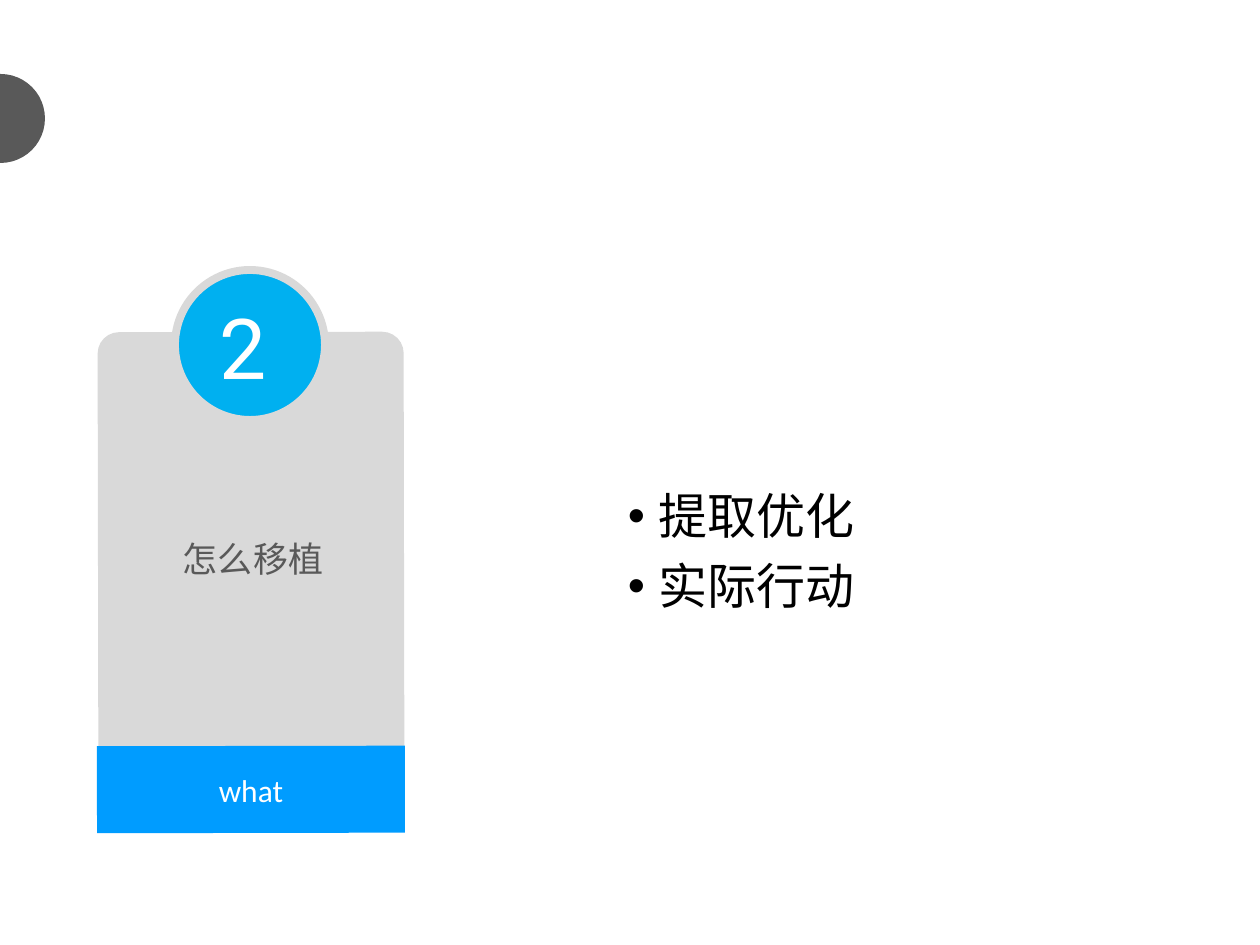
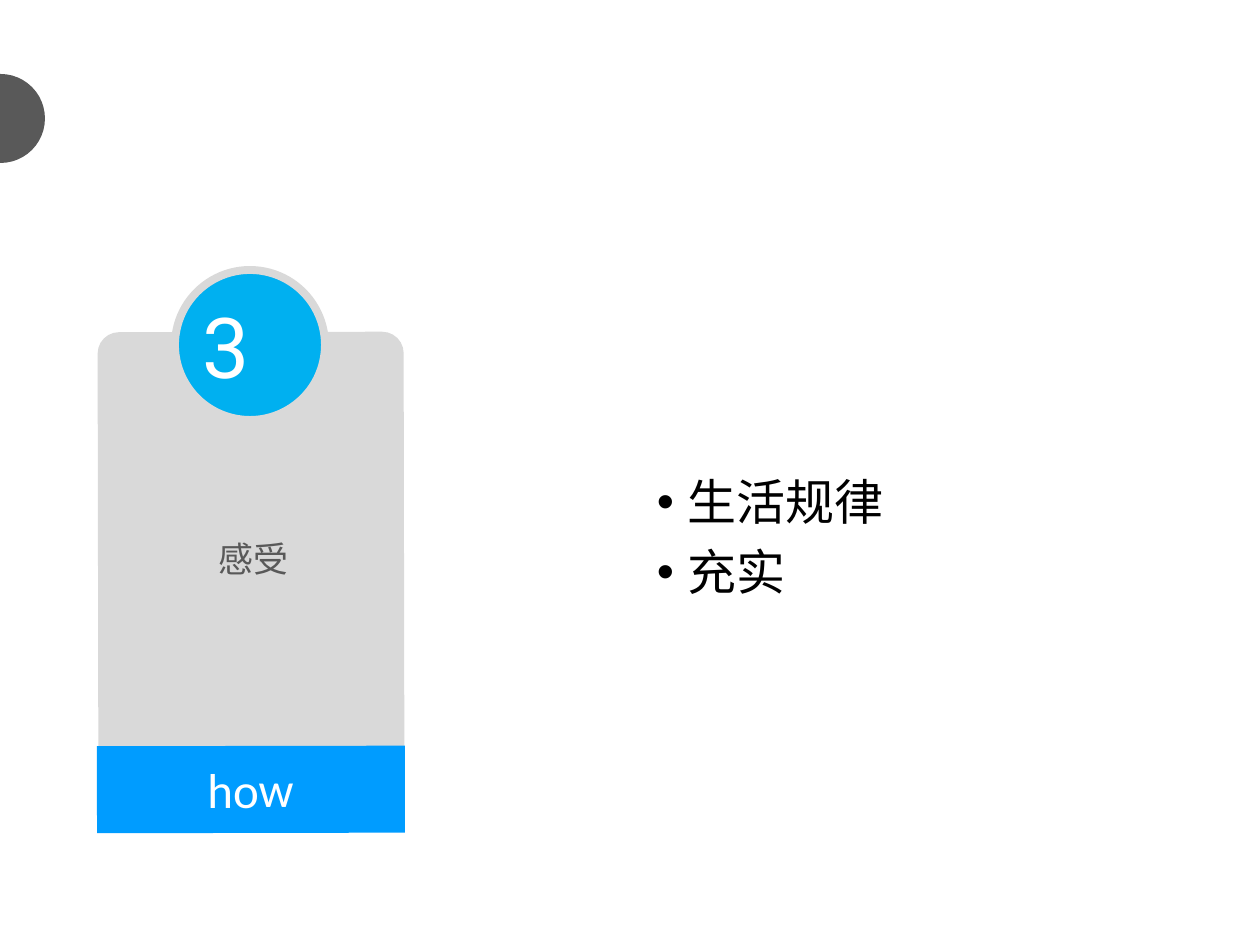
from pptx import Presentation
from pptx import util as u
from pptx.dml.color import RGBColor
from pptx.enum import shapes, text
from pptx.oxml.ns import qn
from lxml import etree

PX = 914400 / 126
COLORS = {
    "dark": "595959",
    "card": "D9D9D9",
    "band": "009CFF",
    "disc": "00B0F0",
    "white": "FFFFFF",
    "black": "000000",
}
TILT = 359.9
INSET = 6
INDENT = 31


def place(slide, box, kind=None, fill=None, tilt=TILT):
    area = [u.Emu(round(side * PX)) for side in box]
    if kind is None:
        part = slide.shapes.add_textbox(*area)
    else:
        part = slide.shapes.add_shape(kind, *area)
        part.shadow.inherit = False
        part.fill.solid()
        part.fill.fore_color.rgb = RGBColor.from_string(COLORS[fill])
        part.line.fill.background()
    part.rotation = tilt
    return part


def write(part, lines, size, color, font="Calibri", align="LEFT", anchor="TOP",
          wrap=True, grow=False, spacing=None, before=None, bullet=None):
    frame = part.text_frame
    frame.word_wrap = wrap
    frame.auto_size = text.MSO_AUTO_SIZE.SHAPE_TO_FIT_TEXT if grow else text.MSO_AUTO_SIZE.NONE
    frame.vertical_anchor = text.MSO_ANCHOR[anchor]
    inset = u.Emu(round(INSET * PX))
    frame.margin_left = frame.margin_right = inset
    frame.margin_top = frame.margin_bottom = inset
    frame.text = "\n".join(lines)
    for line in frame.paragraphs:
        line.alignment = text.PP_ALIGN[align]
        line.line_spacing = spacing
        if before is not None:
            line.space_before = u.Pt(before)
        line_font = line.runs[0].font
        line_font.size = u.Pt(size)
        line_font.name = font
        line_font.color.rgb = RGBColor.from_string(COLORS[color])
        if bullet:
            props = line._p.get_or_add_pPr()
            props.set("marL", str(round(INDENT * PX)))
            props.set("indent", str(round(-INDENT * PX)))
            etree.SubElement(props, qn("a:buFont")).set("typeface", "Arial")
            etree.SubElement(props, qn("a:buChar")).set("char", bullet)


topics = [
    {"number": "2", "number_box": (213, 290, 60, 115),
     "label": "what", "label_size": 18, "label_box": None,
     "caption": "怎么移植",
     "points": ["提取优化", "实际行动"], "points_at": (622, 486)},
    {"number": "3", "number_box": None,
     "label": "how", "label_size": 28, "label_box": (199, 753, 103, 68),
     "caption": "感受",
     "points": ["生活规律", "充实"], "points_at": (651, 472)},
]

deck = Presentation()
deck.slide_width, deck.slide_height = u.Inches(10), u.Inches(7.5)

for topic in topics:
    slide = deck.slides.add_slide(deck.slide_layouts[6])

    place(slide, (-44, 74, 89, 89), shapes.MSO_SHAPE.OVAL, "dark", tilt=0)

    card = place(slide, (98, 332, 306, 499), shapes.MSO_SHAPE.ROUND_2_SAME_RECTANGLE, "card")
    card.adjustments[0] = 0.07
    card.adjustments[1] = 0

    band = place(slide, (97, 746, 308, 87), shapes.MSO_SHAPE.RECTANGLE, "band")
    label_box = topic["label_box"]
    label = place(slide, label_box) if label_box else band
    write(label, [topic["label"]], topic["label_size"], "white", align="CENTER",
          anchor="TOP" if label_box else "MIDDLE",
          wrap=not label_box, grow=bool(label_box))

    disc = place(slide, (175, 270, 150, 150), shapes.MSO_SHAPE.OVAL, "disc")
    disc.line.color.rgb = RGBColor.from_string(COLORS["card"])
    disc.line.width = u.Pt(4.5)
    number_box = topic["number_box"]
    number = place(slide, number_box) if number_box else disc
    write(number, [topic["number"]], 48, "white", font="Roboto",
          anchor="TOP" if number_box else "MIDDLE",
          wrap=not number_box, grow=bool(number_box))

    caption = place(slide, (105, 515, 296, 62))
    write(caption, [topic["caption"]], 20, "dark", align="CENTER", grow=True, spacing=1.4)

    points = place(slide, (*topic["points_at"], 1086, 693), tilt=0)
    write(points, topic["points"], 28, "black", spacing=0.9, before=10, bullet="•")

deck.save("out.pptx")
